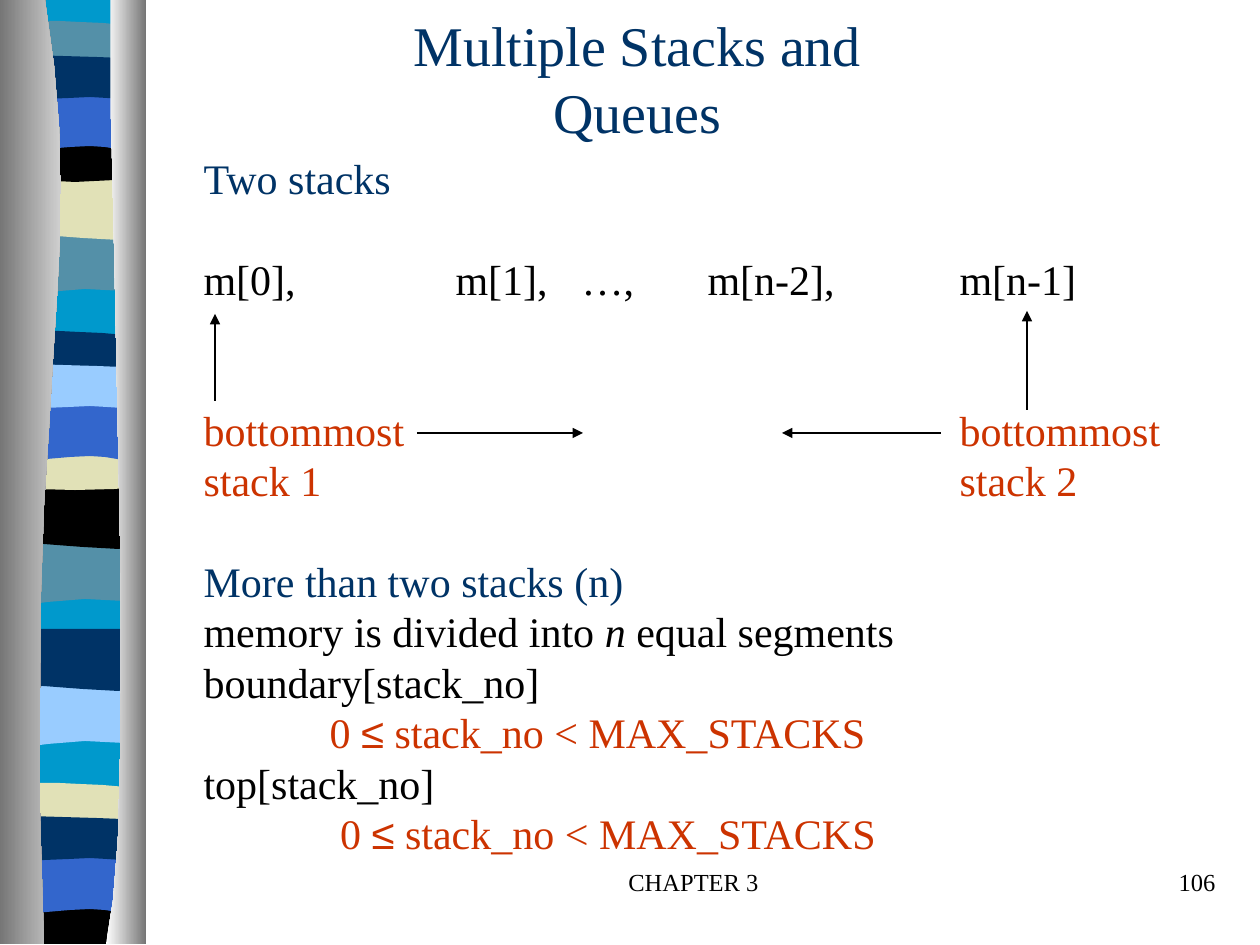
from dataclasses import dataclass
from lxml import etree
from pptx import Presentation
from pptx.dml.color import RGBColor
from pptx.enum.shapes import MSO_CONNECTOR
from pptx.enum.text import MSO_ANCHOR, MSO_AUTO_SIZE, PP_ALIGN
from pptx.oxml.ns import qn
from pptx.util import Pt

SCALE = 914400 / 126  # EMU in one px
WIDE, HIGH, INCH = 1260, 945, 126
STRAIGHT = MSO_CONNECTOR.STRAIGHT
LEFT, MID, RIGHT = PP_ALIGN.LEFT, PP_ALIGN.CENTER, PP_ALIGN.RIGHT
TOP, CENTER = MSO_ANCHOR.TOP, MSO_ANCHOR.MIDDLE
FIXED = MSO_AUTO_SIZE.NONE


@dataclass(frozen=True)
class Theme:
    font: str = "Times New Roman"
    sign: str = "Arial"
    title: int = 32
    body: int = 24
    foot: int = 14
    pitch: float = 28.8
    black: str = "000000"
    navy: str = "003366"
    red: str = "CC3300"
    cyan: str = "0099CC"
    steel: str = "5490A8"
    beige: str = "E1E1B7"
    blue: str = "3366CC"
    sky: str = "99CCFF"
    gray: str = "767676"
    pale: str = "D0D0D0"
    white: str = "FFFFFF"


T = Theme()


def emu(px):
    return round(px * SCALE)


def rgb(code):
    return RGBColor.from_string(code)


def write(para, text, size=T.body, color=T.black, font=T.font, italic=False):
    run = para.add_run()
    run.text = text
    run.font.size, run.font.name = Pt(size), font
    run.font.italic = italic
    run.font.color.rgb = rgb(color)


def curve(start, ctrl, steps=4):
    """Sample a chain of cubic curves; ctrl holds three points for each."""
    pts = [start]
    for i in range(0, len(ctrl), 3):
        a, (b, c, d) = pts[-1], ctrl[i:i + 3]
        for n in range(1, steps + 1):
            t = n / steps
            u = 1 - t
            pts.append(tuple(u**3 * p + 3 * u * u * t * q + 3 * u * t * t * r + t**3 * s
                             for p, q, r, s in zip(a, b, c, d)))
    return pts


class Deck:
    def __init__(self, theme):
        self.theme = theme
        self.prs = Presentation()
        self.prs.slide_width, self.prs.slide_height = emu(WIDE), emu(HIGH)
        self.slide = self.prs.slides.add_slide(self.prs.slide_layouts[1])
        self.shapes = self.slide.shapes

    def area(self, pts, *colors):
        """Filled outline; two colours make a gradient from left to right."""
        pen = self.shapes.build_freeform(*pts[0], scale=SCALE)
        pen.add_line_segments(pts[1:], close=True)
        shape = pen.convert_to_shape()
        shape.shadow.inherit = False
        shape.line.fill.background()
        if len(colors) == 1:
            shape.fill.solid()
            shape.fill.fore_color.rgb = rgb(colors[0])
        else:
            shape.fill.gradient()
            shape.fill.gradient_angle = 0
            for stop, color in zip(shape.fill.gradient_stops, colors):
                stop.color.rgb = rgb(color)

    def band(self, y, kind, color):
        top, depth, low = kind
        pts = []
        for base, edge, step in ((y, top, 1), (y + depth, low, -1)):
            side = curve((7, base), [(7 + dx, base + dy) for dx, dy in edge])
            if side[-1][0] < 143:
                side.append((143, base))
            pts += side[::step]
        self.area(pts, color)

    def place(self, shape, box, anchor=TOP, wrap=True):
        shape.left, shape.top, shape.width, shape.height = map(emu, box)
        frame = shape.text_frame
        frame.word_wrap, frame.auto_size = wrap, FIXED
        frame.vertical_anchor = anchor
        return frame

    def title(self, text, box):
        para = self.place(self.shapes.title, box, CENTER, wrap=False).paragraphs[0]
        para.alignment = MID
        write(para, text, size=self.theme.title, color=self.theme.navy)

    def body(self, rows, box):
        """Each row is (blank lines above, runs of (text, format))."""
        frame = self.place(self.slide.placeholders[1], box)
        for i, (gap, runs) in enumerate(rows):
            para = frame.add_paragraph() if i else frame.paragraphs[0]
            para.alignment = LEFT
            para.line_spacing = Pt(self.theme.pitch)
            para.space_before = Pt(gap * self.theme.pitch)
            para.space_after = Pt(0)
            self.plain(para)
            for text, form in runs:
                write(para, text, **form)

    def plain(self, para):
        """No bullet or indent, and a tab stop at each inch."""
        props = para._p.get_or_add_pPr()
        props.set("marL", "0")
        props.set("indent", "0")
        props.set("defTabSz", str(emu(INCH)))
        etree.SubElement(props, qn("a:buNone"))
        tabs = etree.SubElement(props, qn("a:tabLst"))
        for n in range(1, 8):
            etree.SubElement(tabs, qn("a:tab"), pos=str(emu(INCH * n)), algn="l")

    def label(self, text, box, align):
        para = self.place(self.shapes.add_textbox(0, 0, 0, 0), box).paragraphs[0]
        para.alignment = align
        write(para, text, size=self.theme.foot)

    def arrow(self, x1, y1, x2, y2, width):
        line = self.shapes.add_connector(STRAIGHT, *map(emu, (x1, y1, x2, y2)))
        line.line.width = Pt(width)
        line.line.color.rgb = rgb(self.theme.black)
        etree.SubElement(line.line._get_or_add_ln(), qn("a:tailEnd"), type="triangle")
        etree.SubElement(line._element.spPr, qn("a:effectLst"))


# Edges of the bands, as offsets from their left end
FLAT = []
CREST = [(8, -6), (29, -5), (52, -5), (74, -5), (118, -1), (136, 0)]
RISE = [(19, -6), (92, 0), (115, 0)]
SAG = [(14, 6), (60, 0), (83, 0), (106, 0), (128, 6), (136, 0)]
DOME = [(20, 0), (60, -6), (83, -6), (106, -6), (115, 0), (136, 0)]
DIP = [(83, 6), (107, 0), (136, 0)]
BOWL = [(23, 6), (113, 6), (136, 0)]
WAVE = [(42, -8), (113, 10), (136, 0)]
SWELL = [(23, 10), (42, -10), (136, 0)]

# Kinds of band: upper edge, depth, lower edge
DROP, ROLL = (FLAT, 59, SWELL), (FLAT, 59, WAVE)
HILL, BOAT = (CREST, 30, BOWL), (DIP, 41, BOWL)
ARCH, FLAG = (FLAT, 59, DOME), (RISE, 39, SAG)
BASE = (DIP, 47, FLAT)

BANDS = [
    (0, (FLAT, 942, FLAT), T.cyan),
    (233, DROP, T.steel), (178, ROLL, T.beige), (26, HILL, T.steel),
    (136, BOAT, T.black), (93, ARCH, T.blue), (58, FLAG, T.navy),
    (543, DROP, T.steel), (487, ROLL, T.black), (336, HILL, T.navy),
    (445, BOAT, T.beige), (403, ARCH, T.blue), (367, FLAG, T.sky),
    (685, DROP, T.sky), (629, ROLL, T.navy), (788, HILL, T.beige),
    (897, BASE, T.black), (856, ARCH, T.blue), (819, FLAG, T.navy),
]

NAVY, RED, BLACK = ({"color": c} for c in (T.navy, T.red, T.black))
LIMIT = [("≤", {"color": T.red, "font": T.sign}), (" stack_no < MAX_STACKS", RED)]
ROWS = [
    (0, [("Two stacks", NAVY)]),
    (1, [("m[0], \t\tm[1],\t…, \tm[n-2],\tm[n-1]", BLACK)]),
    (2, [("bottommost\t\t\t\t\tbottommost", RED)]),
    (0, [("stack 1\t\t\t\t\t\tstack 2", RED)]),
    (1, [("More than two stacks (n)", NAVY)]),
    (0, [("memory is divided into ", BLACK), ("n", {"italic": True}),
         (" equal segments", BLACK)]),
    (0, [("boundary[stack_no]", BLACK)]),
    (0, [("\t0 ", RED)] + LIMIT),
    (0, [("top[stack_no]", BLACK)]),
    (0, [("\t 0 ", RED)] + LIMIT),
]


def main():
    deck = Deck(T)

    # Striped column between two shaded sides
    for y, kind, color in BANDS:
        deck.band(y, kind, color)
    side = curve((45, 0), [(90, 272), (22, 373), (44, 944)], 12)
    deck.area([(0, 0)] + side + [(0, 944)], T.gray, T.pale)
    side = curve((111, 0), [(106, 158), (140, 814), (106, 944)], 12)
    deck.area(side + [(146, 944), (146, 0)], T.white, T.gray)

    # Text
    deck.title("Multiple Stacks and Queues", (310, 37, 655, 81))
    deck.body(ROWS, (191, 146, 1040, 718))
    deck.label("CHAPTER 3", (494, 861, 399, 63), MID)
    deck.label("106", (966, 861, 262, 63), RIGHT)

    # Growth of the stacks, then pointers to their ends
    deck.arrow(417, 433, 583, 433, 1.5)
    deck.arrow(941, 433, 782, 433, 1.5)
    deck.arrow(215, 401, 215, 314, 0.75)
    deck.arrow(1027, 410, 1027, 311, 0.75)

    deck.prs.save("out.pptx")


if __name__ == "__main__":
    main()
